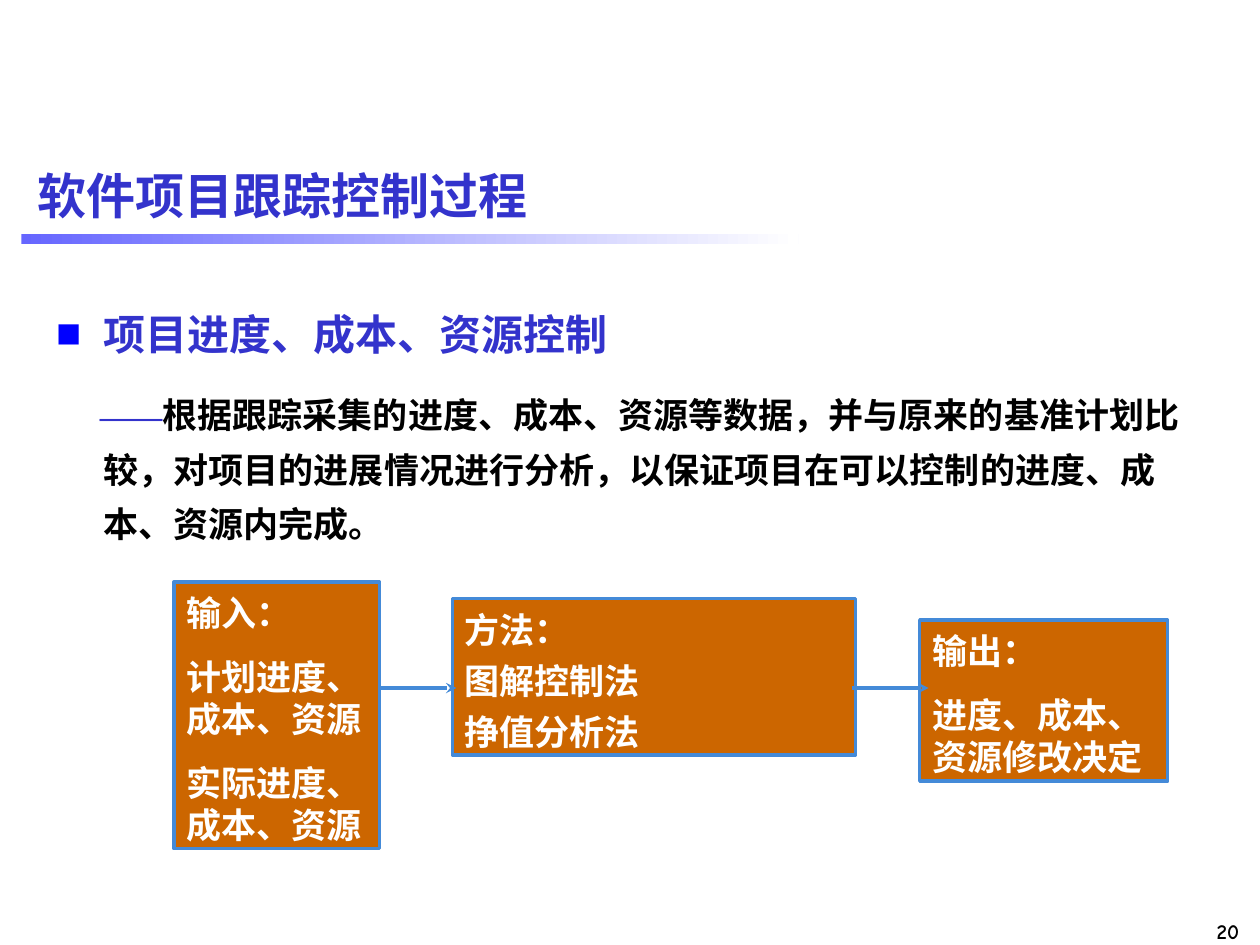
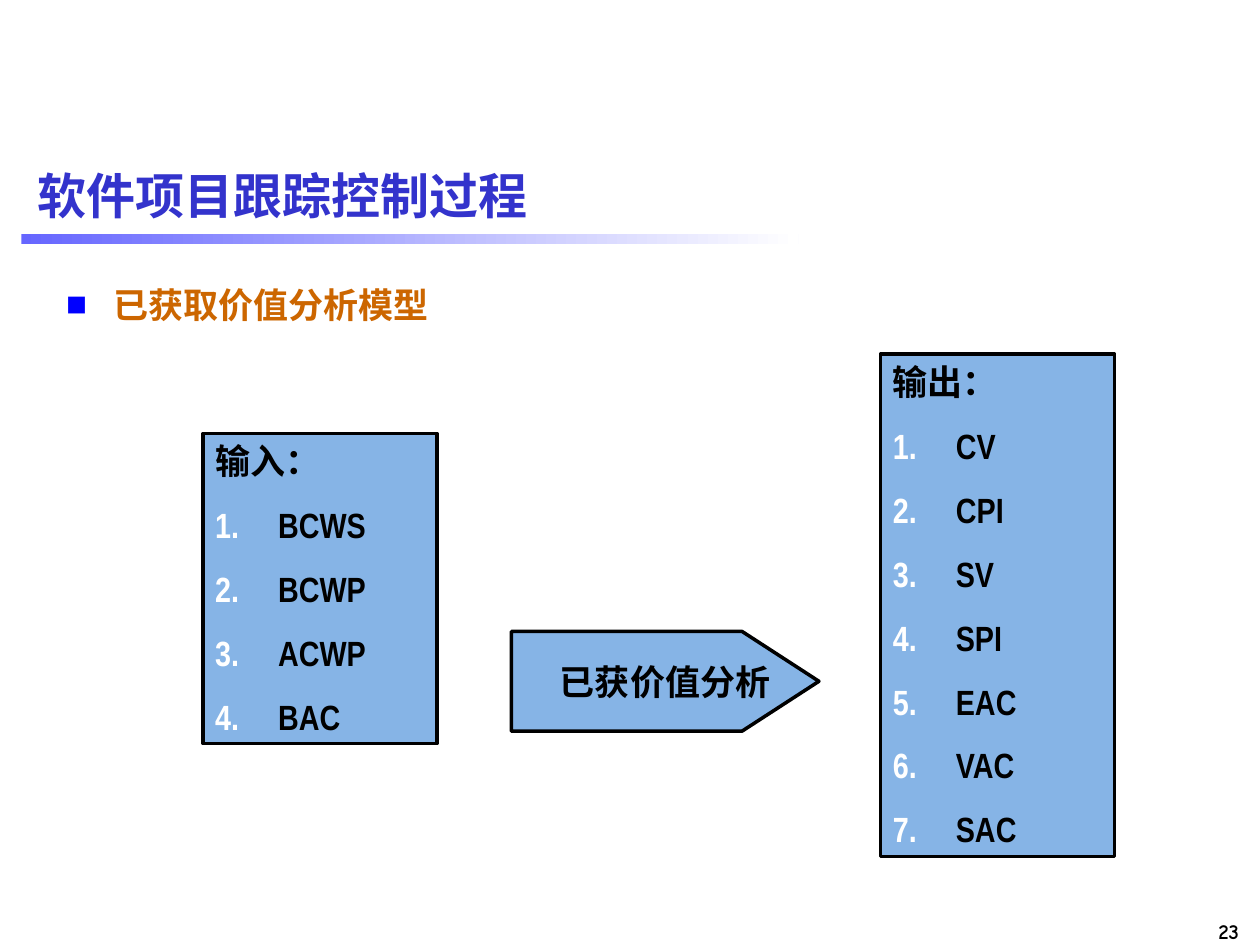
from lxml.etree import SubElement
from pptx import Presentation
from pptx.dml.color import RGBColor
from pptx.enum.shapes import MSO_CONNECTOR as Connector, MSO_SHAPE as Preset
from pptx.enum.text import MSO_ANCHOR as Anchor, PP_ALIGN as Align
from pptx.oxml.ns import qn
from pptx.util import Cm, Pt

BLACK = RGBColor(0x00, 0x00, 0x00)
WHITE = RGBColor(0xFF, 0xFF, 0xFF)
INDIGO = RGBColor(0x33, 0x33, 0xCC)
BULLET_BLUE = RGBColor(0x00, 0x00, 0xFF)
BAND_BLUE = RGBColor(0x66, 0x66, 0xFF)
ORANGE = RGBColor(0xCC, 0x66, 0x00)
EDGE_BLUE = RGBColor(0x44, 0x8A, 0xD8)
SKY = RGBColor(0x86, 0xB4, 0xE6)

LATIN = "Arial"
NARROW = "Arial Narrow"
CJK = "Noto Sans CJK SC"
NUMBER_FONT = "Comic Neue"

TITLE = "软件项目跟踪控制过程"
LINE_FACTOR = 1.2
CJK_INSET = 0.2
LATIN_INSET = 0.13


def add_run(paragraph, text, size, color, font=LATIN, east_asian=CJK, bold=True):
    run = paragraph.add_run()
    run.text = text
    run.font.size = Pt(size)
    run.font.bold = bold
    run.font.name = font
    run.font.color.rgb = color
    SubElement(run.font._element, qn("a:ea"), typeface=east_asian)


def set_indent(paragraph, margin, first_line):
    properties = paragraph._p.get_or_add_pPr()
    properties.set("marL", str(Cm(margin)))
    properties.set("indent", str(Cm(first_line)))
    properties.set("hangingPunct", "0")
    return properties


def add_bullet_color(properties, color):
    bullet_color = SubElement(properties, qn("a:buClr"))
    SubElement(bullet_color, qn("a:srgbClr"), val=str(color))


def set_square_bullet(paragraph):
    properties = set_indent(paragraph, 0.95, -0.95)
    add_bullet_color(properties, BULLET_BLUE)
    SubElement(properties, qn("a:buSzPct"), val="60000")
    SubElement(properties, qn("a:buFont"), typeface=CJK)
    SubElement(properties, qn("a:buChar"), char="■")


def set_number(paragraph):
    properties = set_indent(paragraph, 1.27, -1.27)
    add_bullet_color(properties, WHITE)
    SubElement(properties, qn("a:buFont"), typeface=NARROW)
    SubElement(properties, qn("a:buAutoNum"), type="arabicPeriod")


def set_line_height(paragraph, size, factor=1):
    paragraph.line_spacing = Pt(size * LINE_FACTOR * factor)


def prepare_frame(shape, inset=LATIN_INSET, anchor=Anchor.TOP):
    frame = shape.text_frame
    frame.word_wrap = True
    frame.vertical_anchor = anchor
    frame.margin_left = frame.margin_right = Cm(0.25)
    frame.margin_top = Cm(inset)
    frame.margin_bottom = Cm(0.13)
    return frame


def add_text_box(slide, left, top, width, height, **frame_options):
    shape = slide.shapes.add_textbox(Cm(left), Cm(top), Cm(width), Cm(height))
    return prepare_frame(shape, **frame_options)


def paint(shape, fill, edge):
    shape.shadow.inherit = False
    shape.fill.solid()
    shape.fill.fore_color.rgb = fill
    shape.line.color.rgb = edge
    shape.line.width = Pt(2)


def add_box(slide, place, lines, fill, edge, color, gap=12.5, numbered=False):
    shape = slide.shapes.add_shape(Preset.RECTANGLE, *map(Cm, place))
    paint(shape, fill, edge)
    frame = prepare_frame(shape, LATIN_INSET if numbered else CJK_INSET)
    for index, line in enumerate(lines):
        paragraph = frame.add_paragraph() if index else frame.paragraphs[0]
        paragraph.alignment = Align.LEFT
        if index:
            paragraph.space_before = Pt(gap)
            if numbered:
                set_number(paragraph)
        set_line_height(paragraph, 20)
        add_run(paragraph, line, 20, color, NARROW)


def add_arrow(slide, left, y, length):
    arrow = slide.shapes.add_connector(
        Connector.STRAIGHT, Cm(left), Cm(y), Cm(left + length), Cm(y))
    arrow.line.color.rgb = EDGE_BLUE
    arrow.line.width = Pt(2)
    SubElement(arrow.line._get_or_add_ln(), qn("a:tailEnd"), type="stealth")
    SubElement(arrow._element.spPr, qn("a:effectLst"))


def add_pentagon(slide, left, top, width, height, shoulder, text):
    right, bottom = left + width, top + height
    outline = [(shoulder, top), (right, top + height / 2),
               (shoulder, bottom), (left, bottom)]
    builder = slide.shapes.build_freeform(Cm(left), Cm(top))
    builder.add_line_segments([(Cm(x), Cm(y)) for x, y in outline], close=True)
    shape = builder.convert_to_shape()
    paint(shape, SKY, BLACK)
    paragraph = prepare_frame(shape, anchor=Anchor.MIDDLE).paragraphs[0]
    paragraph.alignment = Align.CENTER
    add_run(paragraph, text, 20, BLACK, NARROW)


def add_heading(frame, text, size, color, factor=1):
    paragraph = frame.paragraphs[0]
    set_square_bullet(paragraph)
    set_line_height(paragraph, size, factor)
    add_run(paragraph, text, size, color, CJK)


def add_base_slide(presentation, number):
    slide = presentation.slides.add_slide(presentation.slide_layouts[6])
    paragraph = add_text_box(slide, 22.89, 18.39, 2.34, 0.76).paragraphs[0]
    paragraph.alignment = Align.RIGHT
    add_run(paragraph, str(number), 12, BLACK, NUMBER_FONT)

    band = slide.shapes.add_shape(
        Preset.RECTANGLE, Cm(0.43), Cm(4.72), Cm(15.67), Cm(0.2))
    band.shadow.inherit = False
    band.line.fill.background()
    band.fill.gradient()
    band.fill.gradient_angle = 0
    for stop, color in zip(band.fill.gradient_stops, (BAND_BLUE, WHITE)):
        stop.color.rgb = color

    title = add_text_box(slide, 0.51, 2.92, 24.41, 2.01, anchor=Anchor.MIDDLE)
    add_run(title.paragraphs[0], TITLE, 28, INDIGO)
    return slide


def build_control_slide(presentation):
    slide = add_base_slide(presentation, 20)
    body = add_text_box(slide, 0.89, 5.72, 24, 13.33, inset=CJK_INSET)
    add_heading(body, "项目进度、成本、资源控制", 24, INDIGO, 1.3)
    paragraph = body.add_paragraph()
    set_indent(paragraph, 0.95, -0.08)
    set_line_height(paragraph, 20, 1.3)
    paragraph.space_before = Pt(12.5)
    add_run(paragraph, "——", 18, INDIGO, east_asian=LATIN, bold=False)
    add_run(paragraph, "根据跟踪采集的进度、成本、资源等数据，并与原来的基准计划比较，"
            "对项目的进展情况进行分析，以保证项目在可以控制的进度、成本、资源内完成。",
            20, BLACK)

    colors = ORANGE, EDGE_BLUE, WHITE
    add_box(slide, (9.12, 12.07, 8.13, 3.15),
            ["方法：", "图解控制法", "挣值分析法"], *colors, gap=5)
    add_box(slide, (3.51, 11.73, 4.14, 5.38),
            ["输入：", "计划进度、成本、资源", "实际进度、成本、资源"], *colors)
    add_box(slide, (18.54, 12.5, 5, 3.25),
            ["输出：", "进度、成本、资源修改决定"], *colors)
    for left in (7.65, 17.17):
        add_arrow(slide, left, 13.87, 1.55)


def build_earned_value_slide(presentation):
    slide = add_base_slide(presentation, 23)
    body = add_text_box(slide, 1.09, 5.51, 23.8, 13.51, inset=CJK_INSET)
    add_heading(body, "已获取价值分析模型", 20, ORANGE)

    colors = SKY, BLACK, BLACK
    add_box(slide, (4.09, 8.74, 4.72, 6.25),
            ["输入：", "BCWS", "BCWP", "ACWP", "BAC"], *colors, numbered=True)
    add_box(slide, (17.75, 7.14, 4.72, 10.13),
            ["输出：", "CV", "CPI", "SV", "SPI", "EAC", "VAC", "SAC"],
            *colors, numbered=True)
    add_pentagon(slide, 10.31, 12.73, 6.2, 2.01, 14.96, "已获价值分析")


def main():
    presentation = Presentation()
    presentation.slide_width = Cm(25.4)
    presentation.slide_height = Cm(19.05)
    build_control_slide(presentation)
    build_earned_value_slide(presentation)
    presentation.save("out.pptx")


if __name__ == "__main__":
    main()
